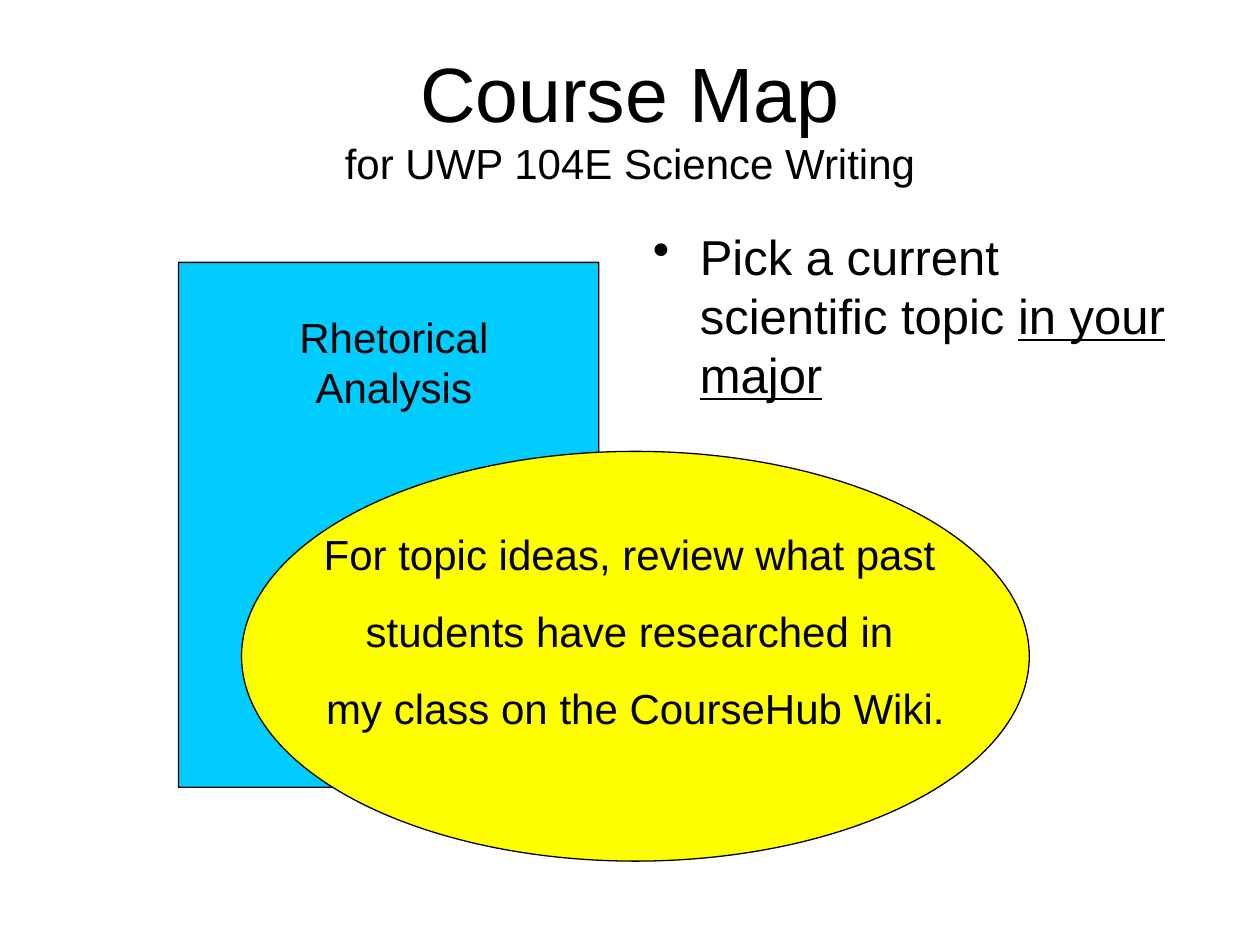
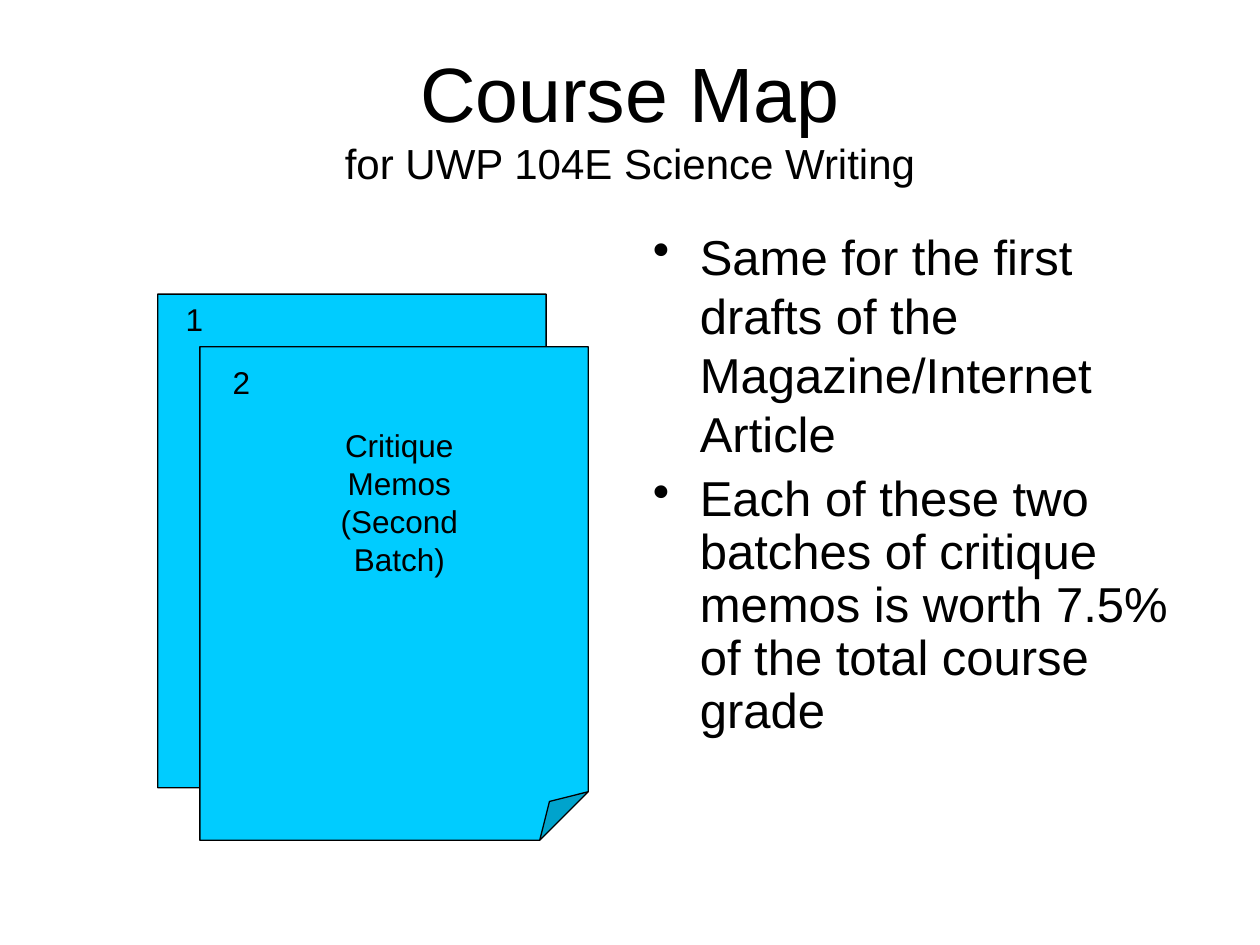
from dataclasses import dataclass

from lxml.etree import SubElement
from pptx import Presentation
from pptx.dml.color import RGBColor
from pptx.enum.shapes import MSO_SHAPE
from pptx.enum.text import MSO_ANCHOR, PP_ALIGN
from pptx.oxml.ns import qn
from pptx.util import Cm, Pt


@dataclass(frozen=True)
class Theme:
    font: str = "Arial"
    ink: RGBColor = RGBColor(0x00, 0x00, 0x00)
    paper: RGBColor = RGBColor(0x00, 0xCC, 0xFF)
    highlight: RGBColor = RGBColor(0xFF, 0xFF, 0x00)
    title_size: int = 44
    bullet_size: int = 28
    text_size: int = 24
    small_size: int = 18
    outline: float = 0.75


class CourseMap:
    def __init__(self, theme):
        self.theme = theme
        self.deck = Presentation()
        self.deck.slide_width = Cm(25.4)
        self.deck.slide_height = Cm(19.05)
        self.page = None

    def start_page(self):
        self.page = self.deck.slides.add_slide(self.deck.slide_layouts[6])
        self.title("Course Map", "for UWP 104E Science Writing")

    def style(self, span, size):
        span.font.name = self.theme.font
        span.font.size = Pt(size)
        span.font.color.rgb = self.theme.ink

    def box(self, left, top, width, height):
        box = self.page.shapes.add_textbox(Cm(left), Cm(top), Cm(width), Cm(height))
        box.text_frame.word_wrap = True
        return box.text_frame

    def title(self, heading, subtitle):
        frame = self.box(1.27, 0.76, 22.86, 3.18)
        frame.vertical_anchor = MSO_ANCHOR.MIDDLE
        para = frame.paragraphs[0]
        para.alignment = PP_ALIGN.CENTER
        para.text = heading
        para.add_line_break()
        para.add_run().text = subtitle
        for span, size in zip(para.runs, (self.theme.title_size, self.theme.text_size)):
            self.style(span, size)

    def bullets(self, *items):
        frame = self.box(12.91, 4.45, 11.22, 12.57)
        frame.text = "\n".join(items)
        for para in frame.paragraphs:
            properties = para._p.get_or_add_pPr()
            properties.set("marL", str(Cm(0.95)))
            properties.set("indent", str(Cm(-0.95)))
            SubElement(properties, qn("a:buChar")).set("char", "•")
            self.style(para.runs[0], self.theme.bullet_size)
        for para in frame.paragraphs[1:]:
            para.space_before = Pt(7)
            para.line_spacing = 0.9
        return frame.paragraphs

    def label(self, text, left, top, width, height, size):
        frame = self.box(left, top, width, height)
        frame.text = text
        para = frame.paragraphs[0]
        para.alignment = PP_ALIGN.CENTER
        self.style(para.runs[0], size)

    def shape(self, kind, left, top, width, height, fill):
        shape = self.page.shapes.add_shape(kind, Cm(left), Cm(top), Cm(width), Cm(height))
        shape.shadow.inherit = False
        shape.fill.solid()
        shape.fill.fore_color.rgb = fill
        shape.line.color.rgb = self.theme.ink
        shape.line.width = Pt(self.theme.outline)
        return shape

    def sheet(self, left, top, width, height):
        sheet = self.shape(MSO_SHAPE.FOLDED_CORNER, left, top, width, height, self.theme.paper)
        fold = SubElement(next(sheet._element.iter(qn("a:avLst"))), qn("a:gd"))
        fold.set("name", "adj")
        fold.set("fmla", "val 12500")

    def callout(self, lines, left, top, width, height):
        oval = self.shape(MSO_SHAPE.OVAL, left, top, width, height, self.theme.highlight)
        frame = oval.text_frame
        frame.word_wrap = False
        frame.vertical_anchor = MSO_ANCHOR.MIDDLE
        frame.margin_bottom = Cm(1.15)
        frame.text = "\n".join(lines)
        for para in frame.paragraphs:
            para.alignment = PP_ALIGN.CENTER
            self.style(para.runs[0], self.theme.text_size)
        for para in frame.paragraphs[1:]:
            para.space_before = Pt(15)


def topic_page(course):
    course.start_page()
    topic = course.bullets("Pick a current scientific topic ")[0]
    major = topic.add_run()
    major.text = "in your major"
    course.style(major, course.theme.bullet_size)
    major.font.underline = True
    course.sheet(3.6, 5.29, 8.47, 10.58)
    course.label("Rhetorical Analysis", 4.66, 6.15, 6.56, 2.29, course.theme.text_size)
    ideas = (
        "For topic ideas, review what past ",
        "students have researched in ",
        "my class on the CourseHub Wiki.",
    )
    course.callout(ideas, 4.87, 9.1, 15.88, 8.26)


def critique_page(course):
    course.start_page()
    course.bullets(
        "Same for the first drafts of the Magazine/Internet Article",
        "Each of these two batches of critique memos is worth 7.5% of the total course grade",
    )
    for order in range(2):
        course.sheet(3.18 + 0.85 * order, 5.93 + 1.06 * order, 7.83, 9.95)
    small = course.theme.small_size
    course.label("1", 3.39, 5.93, 1.06, 1.02, small)
    course.label("2", 4.23, 7.2, 1.27, 1.02, small)
    course.label("Critique Memos (Second Batch)", 5.72, 8.47, 4.66, 3.3, small)


def main():
    course = CourseMap(Theme())
    topic_page(course)
    critique_page(course)
    course.deck.save("out.pptx")


if __name__ == "__main__":
    main()
